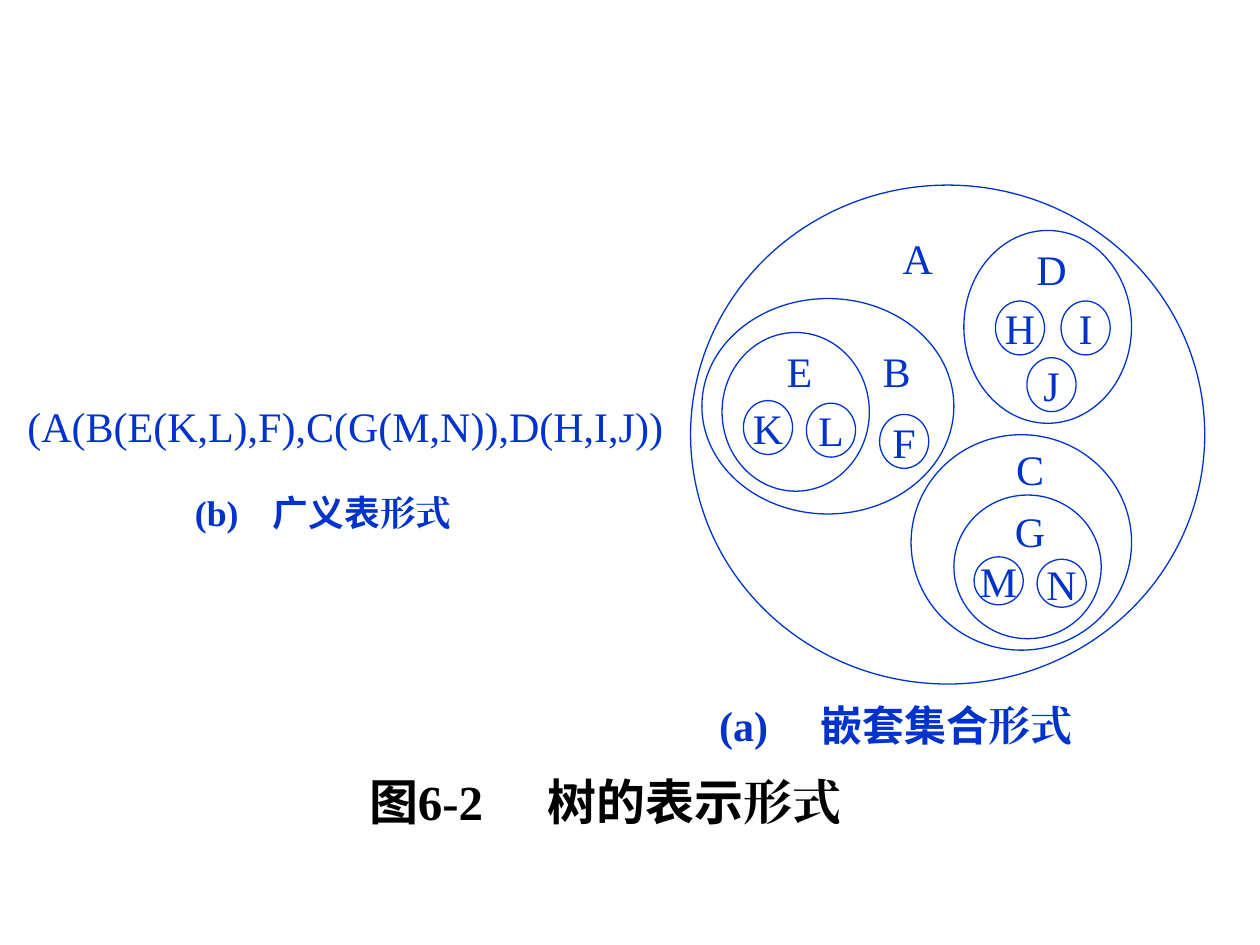
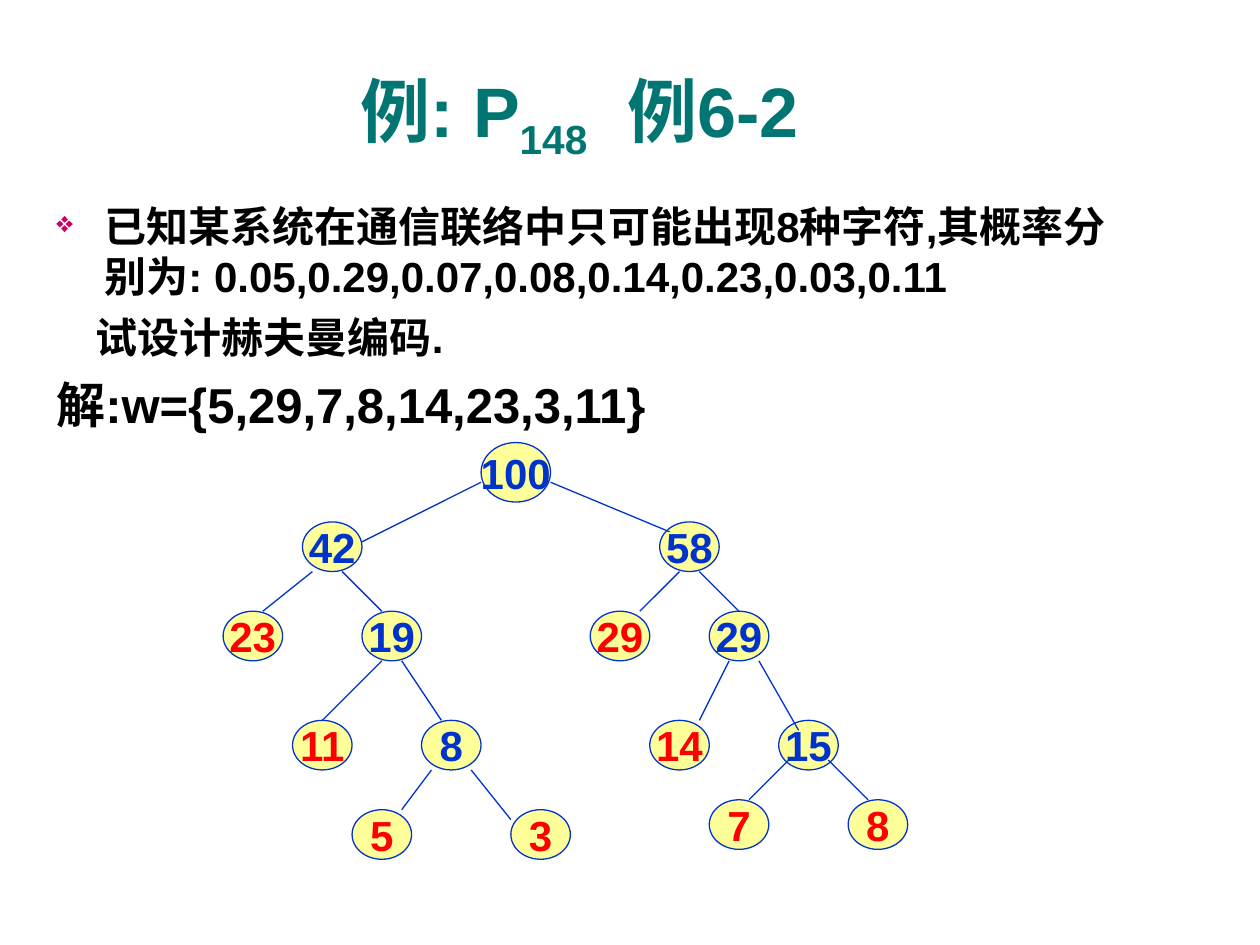
from lxml.etree import SubElement
from pptx import Presentation
from pptx.dml.color import RGBColor
from pptx.enum.shapes import MSO_CONNECTOR, MSO_SHAPE
from pptx.enum.text import MSO_ANCHOR, PP_ALIGN
from pptx.oxml.ns import qn
from pptx.util import Pt

BLUE = RGBColor(0x00, 0x33, 0xCC)
RED = RGBColor(0xFF, 0x00, 0x00)
TEAL = RGBColor(0x00, 0x75, 0x72)
BLACK = RGBColor(0x00, 0x00, 0x00)
YELLOW = RGBColor(0xFF, 0xFF, 0x99)
BULLET_PINK = "CC0066"

SERIF, SANS, CJK = "Times New Roman", "Arial", "Noto Sans CJK SC"
LINE_WIDTH = Pt(0.75)

# Nested sets, in points from the corner of the outer circle
RINGS = [
    (0, 0, 293.8, 285.1),
    (6.5, 64.8, 144, 123.1),
    (18, 84.2, 84.2, 90.7),
    (156.2, 25.9, 95.8, 110.2),
    (126, 142.6, 126, 123.1),
    (150.5, 177.1, 84.2, 82.1),
]
SET_LABELS = {
    "A": (115.9, 25.9, 30.8), "B": (103.7, 90.7, 30.8), "E": (48.2, 90.7, 30.8),
    "D": (192.2, 32.4, 30.8), "C": (180, 148.3, 27.4), "G": (180, 183.6, 27.4),
}
LEAVES = {
    "H": (174.2, 66.2, 30.8), "I": (211.7, 66.2, 30.8), "J": (192.2, 98.6, 30.8),
    "F": (108, 131, 30.8), "K": (30.2, 123.1, 30.8), "L": (66.2, 124.6, 30.8),
    "M": (162, 212.4, 27.4), "N": (198, 213.8, 27.4),
}
LETTER_WIDTH = 28.1

# Huffman tree, in grid steps from the corner of its box
GRID = 5.67
INNER_NODES = [("42", 8, 8), ("58", 44, 8), ("19", 14, 17), ("29", 49, 17),
               ("8", 20, 28), ("15", 56, 28)]
WEIGHTS = [("23", 0, 17), ("29", 37, 17), ("11", 7, 28), ("14", 43, 28),
           ("5", 13, 37), ("3", 29, 37), ("7", 49, 36), ("8", 63, 36)]
BRANCHES = [
    (26, 4, 14, 10), (33, 4, 45, 9),
    (9, 13, 4, 17), (12, 13, 16, 17), (46, 13, 42, 17), (48, 13, 52, 17),
    (16, 22, 10, 28), (18, 22, 22, 28), (51, 22, 48, 28), (54, 22, 58, 29),
    (21, 33, 18, 37), (25, 33, 29, 38), (57, 32, 53, 36), (61, 32, 65, 36),
]


def write(paragraph, text, font=SANS, size=24, color=BLUE, bold=False, baseline=0):
    """Add one formatted run, with the same font for Latin and Chinese."""
    run = paragraph.add_run()
    run.text = text
    run.font.size = Pt(size)
    run.font.bold = bold
    run.font.color.rgb = color
    run.font.name = font
    properties = run._r.get_or_add_rPr()
    SubElement(properties, qn("a:ea"), typeface=font)
    if baseline:
        properties.set("baseline", str(baseline * 1000))


def add_frame(slide, left, top, width, height, anchor=MSO_ANCHOR.MIDDLE, wrap=True):
    box = slide.shapes.add_textbox(Pt(left), Pt(top), Pt(width), Pt(height))
    frame = box.text_frame
    frame.word_wrap = wrap
    frame.vertical_anchor = anchor
    return frame


def add_ellipse(slide, left, top, width, height, fill=None, outlined=True, text="", **text_format):
    ellipse = slide.shapes.add_shape(
        MSO_SHAPE.OVAL, Pt(left), Pt(top), Pt(width), Pt(height))
    ellipse.shadow.inherit = False
    if fill is None:
        ellipse.fill.background()
    else:
        ellipse.fill.solid()
        ellipse.fill.fore_color.rgb = fill
    if outlined:
        ellipse.line.color.rgb = BLUE
        ellipse.line.width = LINE_WIDTH
    else:
        ellipse.line.fill.background()
    if text:
        frame = ellipse.text_frame
        frame.word_wrap = False
        frame.vertical_anchor = MSO_ANCHOR.MIDDLE
        frame.paragraphs[0].alignment = PP_ALIGN.CENTER
        write(frame.paragraphs[0], text, **text_format)


def add_branch(slide, x1, y1, x2, y2):
    branch = slide.shapes.add_connector(
        MSO_CONNECTOR.STRAIGHT, Pt(x1), Pt(y1), Pt(x2), Pt(y2))
    branch.line.color.rgb = BLUE
    branch.line.width = LINE_WIDTH
    SubElement(branch._element.spPr, qn("a:effectLst"))


def add_caption(slide, left, top, width, height, inset, tab, runs, spacing=1.0, **text_format):
    """Bold caption whose number and wording are parted by a tab stop."""
    frame = add_frame(slide, left, top, width, height)
    frame.margin_left = Pt(inset)
    paragraph = frame.paragraphs[0]
    paragraph.alignment = PP_ALIGN.LEFT
    tabs = SubElement(paragraph._p.get_or_add_pPr(), qn("a:tabLst"))
    SubElement(tabs, qn("a:tab"), pos=str(int(Pt(tab))), algn="l")
    paragraph.line_spacing = spacing
    for text, font in runs:
        write(paragraph, text, font=font, bold=True, **text_format)


def nested_sets(slide, left, top):
    for x, y, width, height in RINGS:
        add_ellipse(slide, left + x, top + y, width, height)
    for letters, outlined in ((SET_LABELS, False), (LEAVES, True)):
        for letter, (x, y, height) in letters.items():
            add_ellipse(slide, left + x, top + y, LETTER_WIDTH, height,
                        outlined=outlined, text=letter, font=SERIF)


def tree_forms_slide(slide):
    nested_sets(slide, 394.6, 105.8)
    add_caption(slide, 394.6, 397.4, 234, 33.1, 16.3, 57.7,
                [("(a)\t", SERIF), ("嵌套集合", CJK), ("形式", SERIF)])
    add_caption(slide, 73.4, 277.9, 223.2, 33.1, 38, 44.6,
                [("(b)\t", SERIF), ("广义表", CJK), ("形式", SERIF)], spacing=0.9, size=20.4)
    add_caption(slide, 203, 424.1, 286.6, 67, 7.9, 102,
                [("图", SANS), ("6-2\t", SERIF), ("树的表示", SANS), ("形式", SERIF)],
                size=28, color=BLACK)
    generalized_list = add_frame(slide, 8.6, 224.6, 386.6, 37.4, wrap=False)
    write(generalized_list.paragraphs[0], "(A(B(E(K,L),F),C(G(M,N)),D(H,I,J))", font=SERIF)


def example_title(slide, left, top, width, height):
    paragraph = add_frame(slide, left, top, width, height).paragraphs[0]
    paragraph.alignment = PP_ALIGN.CENTER
    for text, baseline in (("例: P", 0), ("148　", -25), ("例6-2", 0)):
        write(paragraph, text, size=40, color=TEAL, bold=True, baseline=baseline)


def problem_text(slide, left, top, width, height):
    frame = add_frame(slide, left, top, width, height, anchor=MSO_ANCHOR.TOP)
    lines = [
        ("已知某系统在通信联络中只可能出现8种字符,其概率分别为: 0.05,0.29,0.07,0.08,0.14,0.23,0.03,0.11",
         24, 27.4, -27.4, 0),
        ("试设计赫夫曼编码.", 24, 22.6, 0, 6),
        ("解:w={5,29,7,8,14,23,3,11}", 28, 27.4, -27.4, 7),
    ]
    for number, (text, size, margin, indent, space_before) in enumerate(lines):
        paragraph = frame.add_paragraph() if number else frame.paragraphs[0]
        properties = paragraph._p.get_or_add_pPr()
        properties.set("marL", str(int(Pt(margin))))
        properties.set("indent", str(int(Pt(indent))))
        if number == 0:
            bullet_color = SubElement(properties, qn("a:buClr"))
            SubElement(bullet_color, qn("a:srgbClr"), val=BULLET_PINK)
            SubElement(properties, qn("a:buSzPct"), val="70000")
            SubElement(properties, qn("a:buChar"), char="❖")
        paragraph.space_before = Pt(space_before)
        write(paragraph, text, size=size, color=BLACK, bold=True)


def huffman_tree(slide, left, top):
    def node(text, column, row, color, columns=6, rows=5):
        add_ellipse(slide, left + column * GRID, top + row * GRID, columns * GRID, rows * GRID,
                    fill=YELLOW, text=text, color=color, bold=True)

    node("100", 26, 0, BLUE, columns=7, rows=6)
    for nodes, color in ((INNER_NODES, BLUE), (WEIGHTS, RED)):
        for text, column, row in nodes:
            node(text, column, row, color)
    for x1, y1, x2, y2 in BRANCHES:
        add_branch(slide, left + x1 * GRID, top + y1 * GRID, left + x2 * GRID, top + y2 * GRID)


def huffman_slide(slide):
    example_title(slide, 70.6, 37.4, 521.3, 56.9)
    problem_text(slide, 25.2, 110.9, 623.5, 396.7)
    huffman_tree(slide, 127.5, 252.9)


def main():
    presentation = Presentation()
    presentation.slide_width = Pt(720)
    presentation.slide_height = Pt(540)
    blank = presentation.slide_layouts[6]
    for build in (tree_forms_slide, huffman_slide):
        build(presentation.slides.add_slide(blank))
    presentation.save("out.pptx")


if __name__ == "__main__":
    main()
